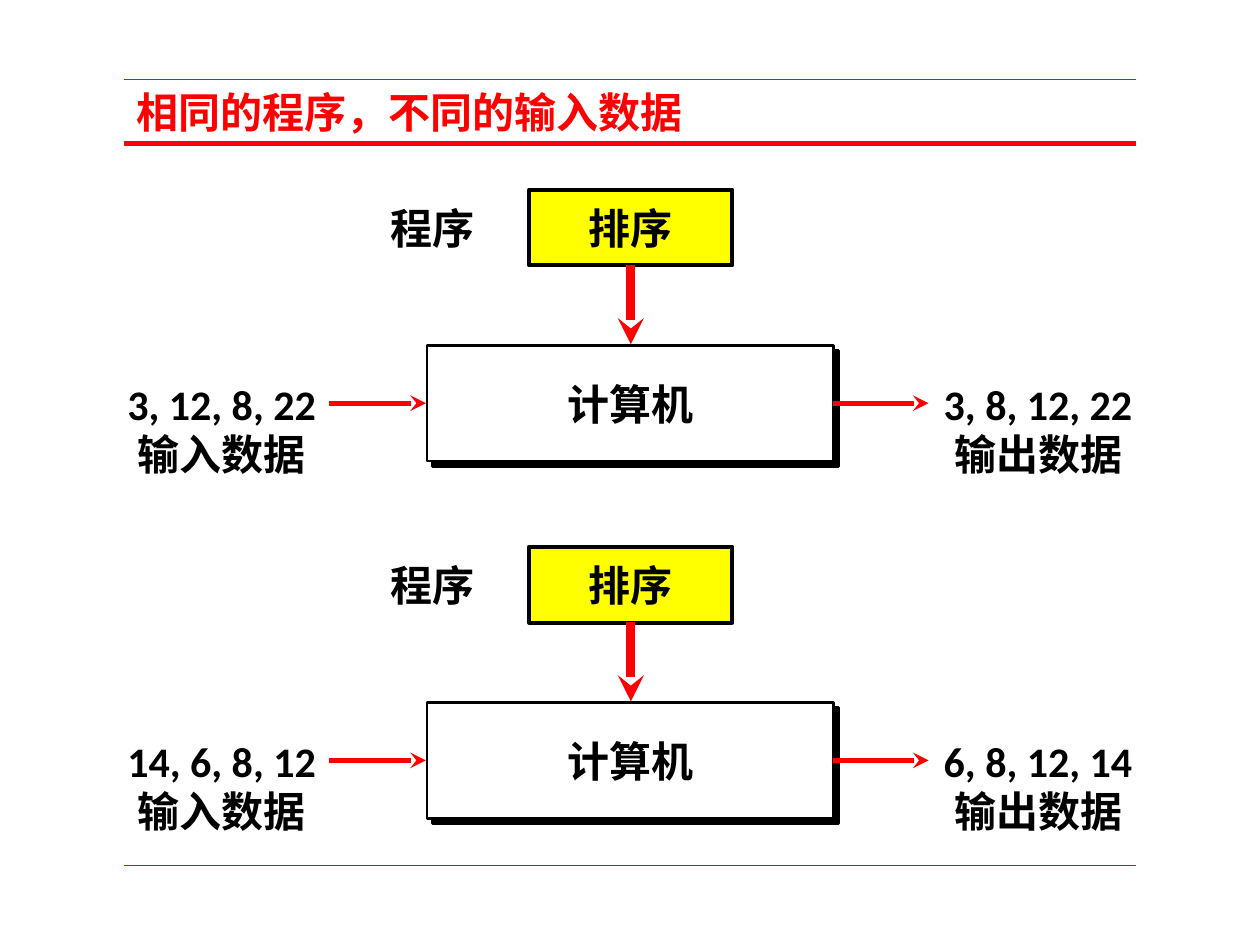
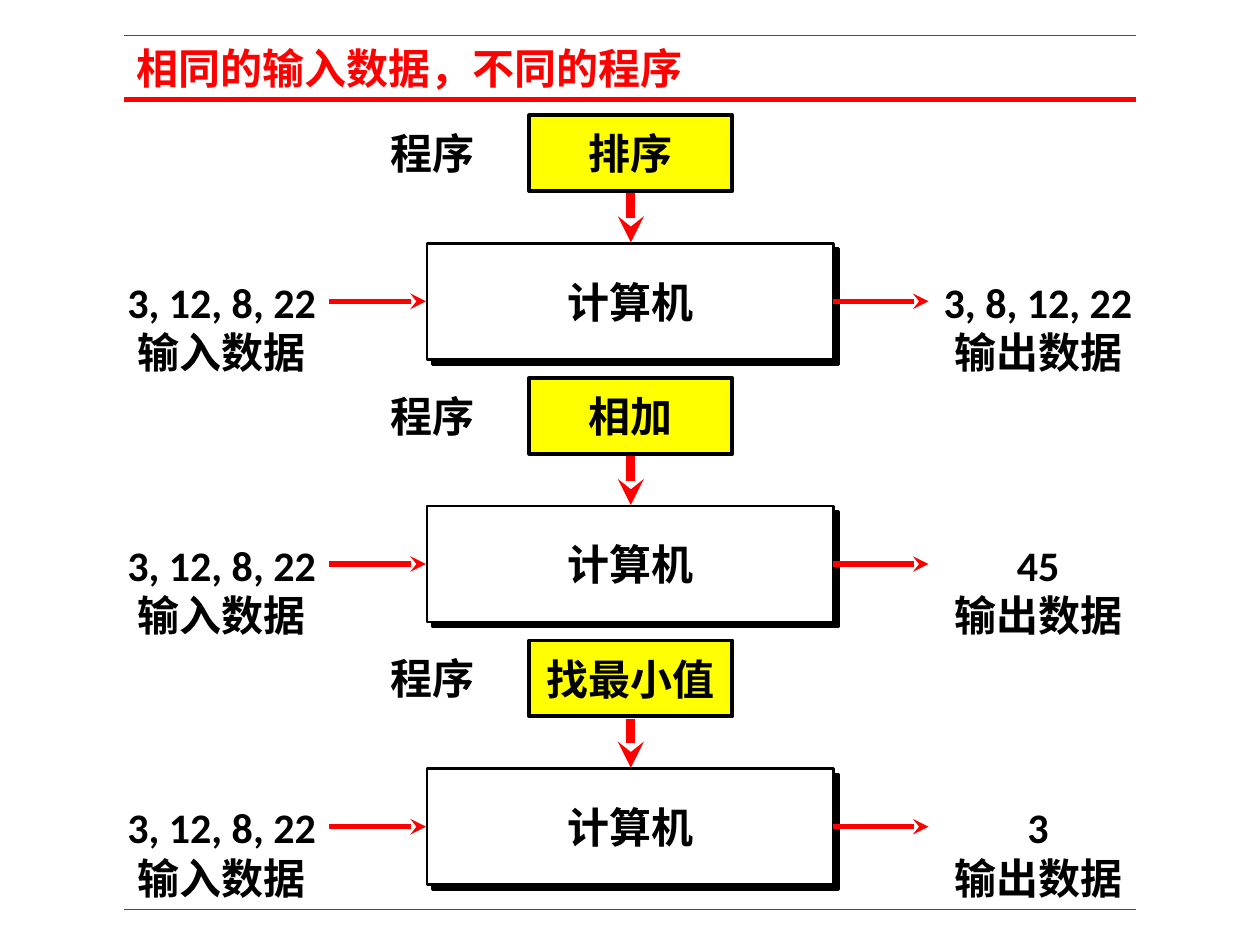
"""Builds two slides that compare programs and input data of a computer."""
from pptx import Presentation
from pptx.dml.color import RGBColor
from pptx.enum.shapes import MSO_CONNECTOR, MSO_SHAPE
from pptx.enum.text import MSO_ANCHOR, PP_ALIGN
from pptx.oxml.ns import qn
from pptx.util import Pt
from lxml.etree import SubElement

COLORS = {"red": "FF0000", "yellow": "FFFF00", "black": "000000", "white": "FFFFFF"}
BODY_FONT = "Calibri"
CHINESE_FONT = "Noto Sans CJK SC"
SLIDE_WIDTH, SLIDE_HEIGHT = 720, 540
RULE_LEFT, RULE_RIGHT = 70.8, 649.2
TITLE_HEIGHT = 36.6
COMPUTER_LEFT, COMPUTER_WIDTH, COMPUTER_HEIGHT = 244, 232.3, 66.2
SHADOW_OFFSET = 3
PROGRAM_LEFT, PROGRAM_WIDTH, PROGRAM_HEIGHT = 302.5, 116, 43.4
DATA_WIDTH, DATA_HEIGHT, DATA_RISE = 122.4, 94.3, 14.2
DATA_TOP_MARGIN = 29.3

SLIDES = [
    {
        "title": "相同的程序，不同的输入数据",
        "title_width": 330,
        "top": 45.4,
        "first_computer": 197.3,
        "pitch": 204.1,
        "program_rise": 89,
        "arrow_length": 45.4,
        "runs": [
            ("排序", "3, 12, 8, 22", "3, 8, 12, 22"),
            ("排序", "14, 6, 8, 12", "6, 8, 12, 14"),
        ],
    },
    {
        "title": "相同的输入数据，不同的程序",
        "title_width": 578.4,
        "top": 20.2,
        "first_computer": 139.1,
        "pitch": 150.1,
        "program_rise": 73.3,
        "arrow_length": 28,
        "runs": [
            ("排序", "3, 12, 8, 22", "3, 8, 12, 22"),
            ("相加", "3, 12, 8, 22", "45"),
            ("找最小值", "3, 12, 8, 22", "3"),
        ],
    },
]


def add_text(shape, lines, color="black", font=BODY_FONT, align=PP_ALIGN.CENTER):
    frame = shape.text_frame
    frame.word_wrap = True
    frame.vertical_anchor = MSO_ANCHOR.MIDDLE
    for index, line in enumerate(lines):
        paragraph = frame.add_paragraph() if index else frame.paragraphs[0]
        paragraph.alignment = align
        run = paragraph.add_run()
        run.text = line
        run.font.size = Pt(24)
        run.font.bold = True
        run.font.name = font
        run.font.color.rgb = RGBColor.from_string(COLORS[color])
        SubElement(run.font._element, qn("a:ea"), typeface=CHINESE_FONT)
    return frame


def add_line(slide, start, end, width, arrow=False):
    points = [Pt(value) for value in (*start, *end)]
    connector = slide.shapes.add_connector(MSO_CONNECTOR.STRAIGHT, *points)
    connector.line.color.rgb = RGBColor.from_string(COLORS["red"])
    connector.line.width = Pt(width)
    if arrow:
        SubElement(connector.line._get_or_add_ln(), qn("a:tailEnd"), type="stealth")
    SubElement(connector._element.spPr, qn("a:effectLst"))


presentation = Presentation()
presentation.slide_width = Pt(SLIDE_WIDTH)
presentation.slide_height = Pt(SLIDE_HEIGHT)

for content in SLIDES:
    slide = presentation.slides.add_slide(presentation.slide_layouts[6])
    top = content["top"]
    title = slide.shapes.add_textbox(
        Pt(RULE_LEFT), Pt(top), Pt(content["title_width"]), Pt(TITLE_HEIGHT)
    )
    add_text(title, [content["title"]], "red", CHINESE_FONT, PP_ALIGN.LEFT)
    for y, width in ((top + TITLE_HEIGHT, 3), (SLIDE_HEIGHT - top, 0.75), (top, 0.75)):
        add_line(slide, (RULE_LEFT, y), (RULE_RIGHT, y), width)

    for row, (program, input_data, output_data) in enumerate(content["runs"]):
        computer_top = content["first_computer"] + row * content["pitch"]
        program_top = computer_top - content["program_rise"]
        middle = computer_top + COMPUTER_HEIGHT / 2

        boxes = [
            (COMPUTER_LEFT + SHADOW_OFFSET, computer_top + SHADOW_OFFSET,
             COMPUTER_WIDTH, COMPUTER_HEIGHT, "black", 1.5, []),
            (COMPUTER_LEFT, computer_top,
             COMPUTER_WIDTH, COMPUTER_HEIGHT, "white", 1.5, ["计算机"]),
            (PROGRAM_LEFT, program_top,
             PROGRAM_WIDTH, PROGRAM_HEIGHT, "yellow", 2.25, [program]),
        ]
        for left, box_top, width, height, fill, border, lines in boxes:
            box = slide.shapes.add_shape(
                MSO_SHAPE.RECTANGLE, Pt(left), Pt(box_top), Pt(width), Pt(height)
            )
            box.shadow.inherit = False
            box.fill.solid()
            box.fill.fore_color.rgb = RGBColor.from_string(COLORS[fill])
            box.line.color.rgb = RGBColor.from_string(COLORS["black"])
            box.line.width = Pt(border)
            add_text(box, lines)

        for left, values, caption in (
            (65.5, input_data, "输入数据"),
            (532, output_data, "输出数据"),
        ):
            data = slide.shapes.add_textbox(
                Pt(left), Pt(computer_top - DATA_RISE), Pt(DATA_WIDTH), Pt(DATA_HEIGHT)
            )
            frame = add_text(data, [values, caption])
            frame.margin_top = Pt(DATA_TOP_MARGIN)
            frame.margin_bottom = Pt(0)

        label = slide.shapes.add_textbox(Pt(216), Pt(program_top + 3.6), Pt(63.4), Pt(36))
        frame = add_text(label, ["程序"], align=PP_ALIGN.LEFT)
        frame.word_wrap = False
        frame.vertical_anchor = MSO_ANCHOR.TOP

        add_line(slide, (188, middle), (243.4, middle), 3, arrow=True)
        add_line(slide, (476, middle), (530.6, middle), 3, arrow=True)
        center = PROGRAM_LEFT + PROGRAM_WIDTH / 2
        arrow_end = computer_top - 0.6
        arrow_start = arrow_end - content["arrow_length"]
        add_line(slide, (center, arrow_start), (center, arrow_end), 5, arrow=True)

presentation.save("out.pptx")
